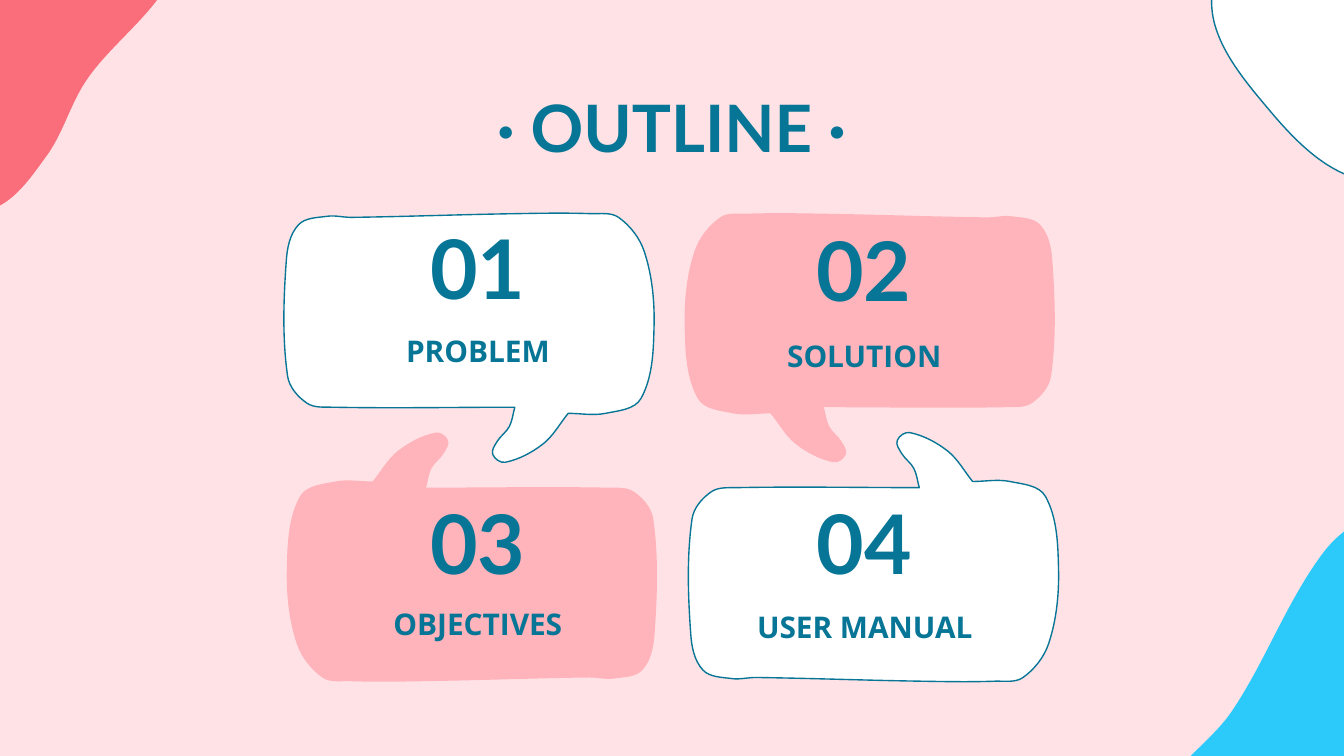
from collections import namedtuple
from math import dist, hypot

from lxml import etree
from pptx import Presentation
from pptx import util as u
from pptx.dml.color import RGBColor
from pptx.enum import text
from pptx.oxml.ns import qn

TEAL, WHITE, PINK = "067596", "FFFFFF", "FFB3BB"
BACKDROP, BLUE, RED = "FFE2E5", "2CCAFA", "FA6E7C"

BUBBLE_WIDTH, BUBBLE_HEIGHT = 197.3, 133.2
NUMBER_WIDTH, NUMBER_HEIGHT = 121.7, 50.4
LABEL_WIDTH, LABEL_HEIGHT = 205.2, 28.1

TAIL_RIGHT, TAIL_LEFT = (151, 107), (122.4, 103.7)
RIGHT_SIDE = [(171, 107), (190, 99), (197, 60), (191.8, 20.4), (178, 2)]
TOP_SIDE = [(163, 0), (123, 0), (35, 2), (22, 1.4)]
LEFT_SIDE = [(6.5, 6), (0, 25), (0.7, 87), (11, 101.5), (25, 103.7)]
TAIL = [(119.5, 114), (113, 122), (110.6, 129), (117.4, 133.2), (137.5, 123.4)]

BLUE_BLOB = [(760, 274), (742, 272), (709, 296), (660, 381), (627, 418),
             (596, 476), (810, 555), (815, 407)]
RED_BLOB = [(-73, -75), (-107, -52), (-137, 29), (-96, 67), (-86, 99), (-65, 118),
            (-4, 112), (25, 83.5), (45, 45), (96, -29), (50, -68), (-24, -89)]
WHITE_BLOB = [(734, 97), (781, 71), (805, 22), (778, -43), (752, -48),
              (693, -44), (649.4, -3.6), (680, 59)]

Card = namedtuple("Card", "number label color bubble number_at label_at")
CARDS = [
    Card("01", "PROBLEM", WHITE, (153.4, 114.5), (195.1, 117.6), (153.4, 170.8)),
    Card("02", "SOLUTION", PINK, (366.5, 114.5), (402, 118.8), (360.4, 173.5)),
    Card("03", "OBJECTIVES", PINK, (153.4, 231.8), (195.1, 265.2), (153.4, 317.5)),
    Card("04", "USER MANUAL", WHITE, (370.1, 231.8), (402.3, 265.2), (360.7, 319)),
]


def paint(fill, color):
    fill.solid()
    fill.fore_color.rgb = RGBColor.from_string(color)


def handle(point, before, after, length):
    run, rise = after[0] - before[0], after[1] - before[1]
    scale = length / (3 * hypot(run, rise))
    return point[0] + run * scale, point[1] + rise * scale


def smooth(anchors, closed=False):
    if closed:
        padded = [anchors[-1], *anchors, *anchors[:2]]
    else:
        padded = [anchors[0], *anchors, anchors[-1]]
    controls = []
    for before, start, end, after in zip(padded, padded[1:], padded[2:], padded[3:]):
        length = dist(start, end)
        controls += [handle(start, before, end, length),
                     handle(end, after, start, length), end]
    return controls


def add_curve(page, start, controls, color, line=None):
    builder = page.shapes.build_freeform(*map(u.Pt, start))
    builder.add_line_segments([(u.Pt(x), u.Pt(y)) for x, y in controls], close=True)
    shape = builder.convert_to_shape()
    steps = shape.element.xpath(".//a:lnTo")
    for first in range(0, len(steps), 3):
        curve = etree.Element(qn("a:cubicBezTo"))
        steps[first].addprevious(curve)
        for step in steps[first:first + 3]:
            curve.append(step[0])
            step.getparent().remove(step)
    shape.shadow.inherit = False
    paint(shape.fill, color)
    if line:
        paint(shape.line.fill, line)
        shape.line.width = u.Pt(0.75)
    else:
        shape.line.fill.background()


def add_blob(page, anchors, color, line=None):
    add_curve(page, anchors[0], smooth(anchors, closed=True), color, line)


def add_bubble(page, left, top, color, line=None, flip_x=False, flip_y=False):
    def place(point):
        x, y = point
        return (left + (BUBBLE_WIDTH - x if flip_x else x),
                top + (BUBBLE_HEIGHT - y if flip_y else y))

    body = [TAIL_RIGHT, *RIGHT_SIDE, *TOP_SIDE, *LEFT_SIDE, TAIL_LEFT]
    tail = [TAIL_LEFT, *TAIL, TAIL_RIGHT]
    controls = [place(point) for point in smooth(body) + smooth(tail)]
    add_curve(page, place(TAIL_RIGHT), controls, color, line)


def add_text(page, words, left, top, width, height, size=16, font="Open Sans",
             color=TEAL, anchor=text.MSO_ANCHOR.TOP):
    box = page.shapes.add_textbox(u.Pt(left), u.Pt(top), u.Pt(width), u.Pt(height))
    frame = box.text_frame
    frame.word_wrap = True
    frame.vertical_anchor = anchor
    for side in ("left", "top", "right", "bottom"):
        setattr(frame, f"margin_{side}", u.Pt(7.2))
    para = frame.paragraphs[0]
    para.alignment = text.PP_ALIGN.CENTER
    span = para.add_run()
    span.text = words
    span.font.name = font
    span.font.size = u.Pt(size)
    span.font.bold = True
    paint(span.font.fill, color)


def add_card(page, card, lower):
    pink = card.color == PINK
    add_bubble(page, *card.bubble, card.color, line=None if pink else TEAL,
               flip_x=pink, flip_y=lower)
    add_text(page, card.number, *card.number_at, NUMBER_WIDTH, NUMBER_HEIGHT,
             size=44, font="Lato", anchor=text.MSO_ANCHOR.MIDDLE)
    add_text(page, card.label, *card.label_at, LABEL_WIDTH, LABEL_HEIGHT)


def main():
    deck = Presentation()
    deck.slide_width, deck.slide_height = u.Pt(720), u.Pt(405)
    page = deck.slides.add_slide(deck.slide_layouts[6])
    paint(page.background.fill, BACKDROP)

    add_blob(page, BLUE_BLOB, BLUE)
    add_blob(page, RED_BLOB, RED)
    add_blob(page, WHITE_BLOB, WHITE, line=TEAL)

    add_text(page, "· OUTLINE ·", 47.3, 39.6, 625, 45.4, size=35, font="Lato")
    for index, card in enumerate(CARDS):
        add_card(page, card, lower=index >= 2)

    deck.save("out.pptx")


if __name__ == "__main__":
    main()
